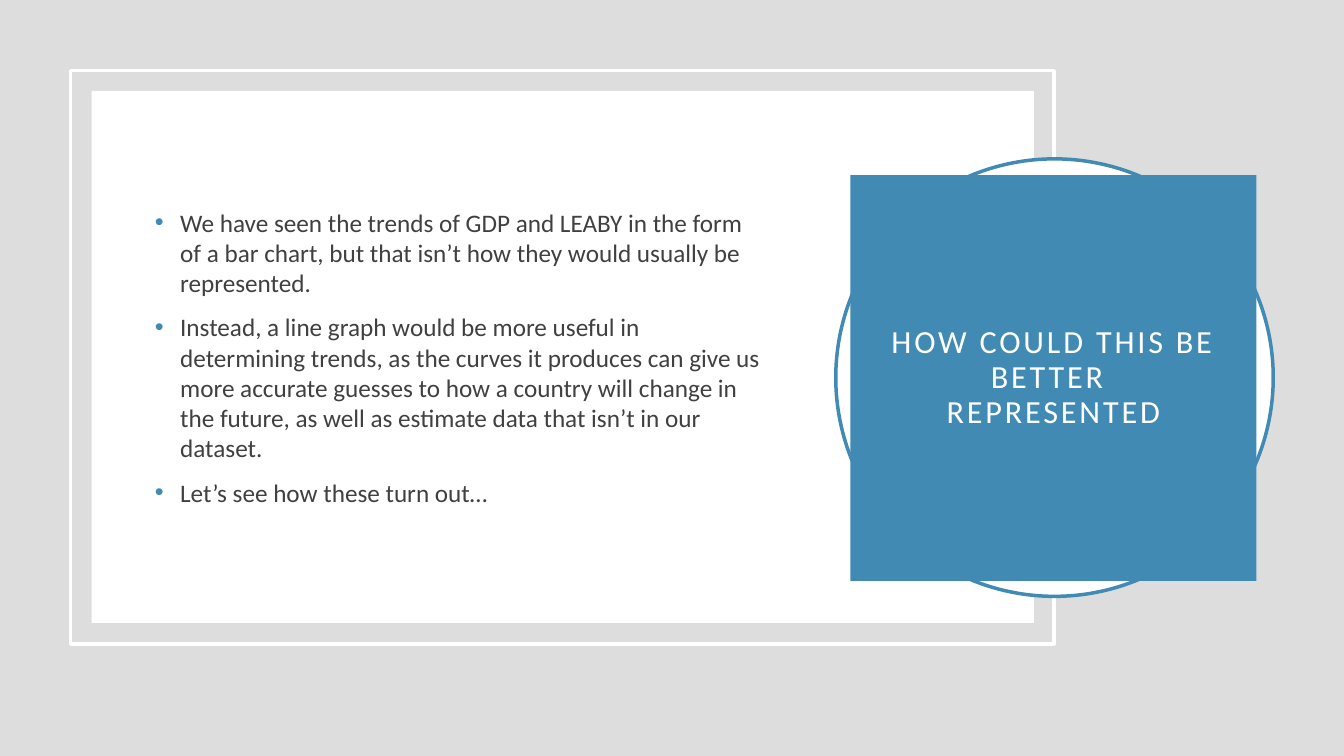
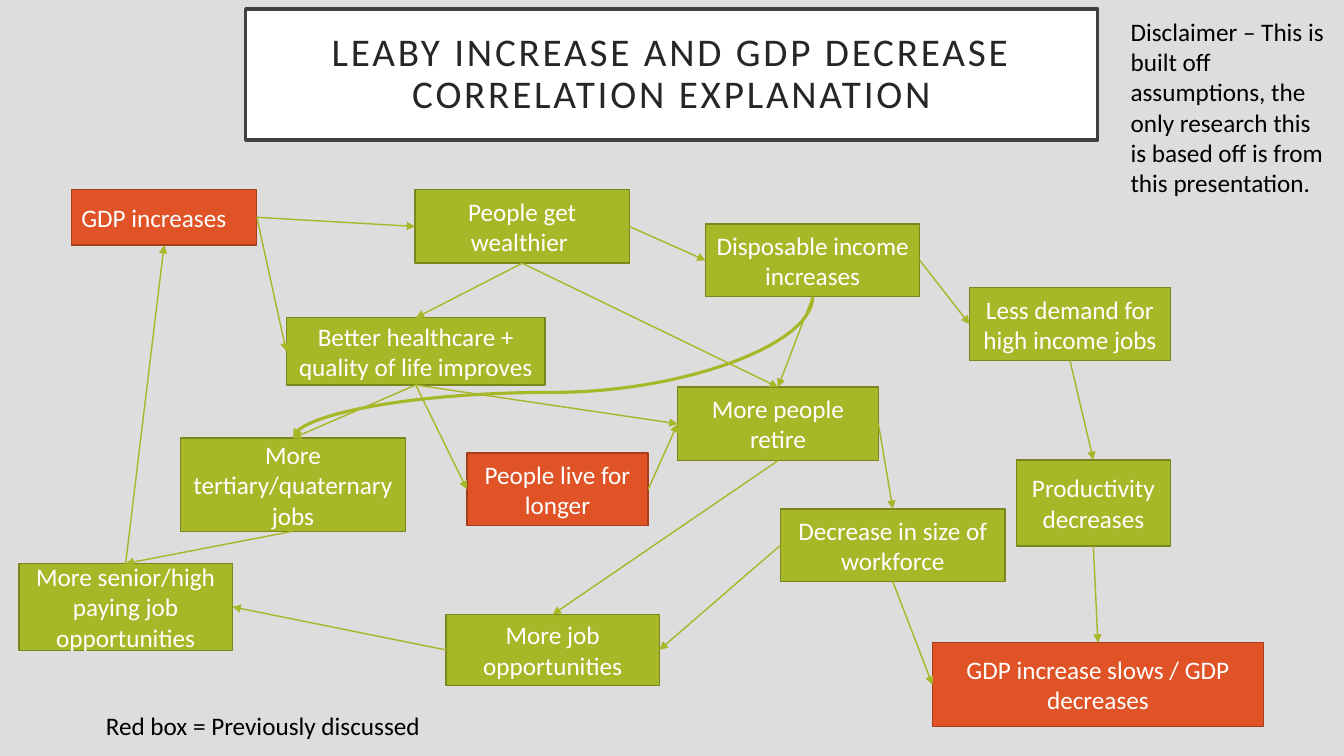
"""Build two slides on life expectancy and GDP trends."""
from dataclasses import dataclass
from lxml.etree import SubElement
from pptx import Presentation
from pptx.dml.color import RGBColor
from pptx.enum.shapes import MSO_CONNECTOR, MSO_SHAPE
from pptx.enum.text import MSO_ANCHOR, MSO_AUTO_SIZE, PP_ALIGN
from pptx.oxml.ns import qn
from pptx.util import Pt


@dataclass(frozen=True)
class Theme:
    """Colours, font, type sizes and line widths."""
    back: str = "DDDDDD"
    white: str = "FFFFFF"
    black: str = "000000"
    ink: str = "262626"
    gray: str = "404040"
    blue: str = "418AB3"
    green: str = "A6B727"
    moss: str = "7B871D"
    red: str = "DF5327"
    rust: str = "A53D1D"
    font: str = "Calibri"
    text: float = 18
    head: float = 28
    side: float = 23
    thin: float = 1
    curve: float = 2.25
    thick: float = 2.5


THEME = Theme()
SIZE = 960, 540

SIDE = "HOW COULD THIS BE BETTER \nREPRESENTED"
POINTS = [
    "We have seen the trends of GDP and LEABY in the form of a bar chart, "
    "but that isn’t how they would usually be represented.",
    "Instead, a line graph would be more useful in determining trends, as the "
    "curves it produces can give us more accurate guesses to how a country will "
    "change in the future, as well as estimate data that isn’t in our dataset.",
    "Let’s see how these turn out…",
]
PANELS = [
    (MSO_SHAPE.RECTANGLE, (50.5, 50.5, 702.5, 409.5), None, THEME.white),
    (MSO_SHAPE.RECTANGLE, (65.5, 65, 673, 380), THEME.white, None),
    (MSO_SHAPE.OVAL, (597, 113.5, 312.5, 312.5), THEME.white, THEME.blue),
]

HEAD = "LEABY INCREASE AND GDP DECREASE CORRELATION EXPLANATION"
BOXES = {
    "gdp": ("GDP increases", (51, 135.5, 132.5, 39.5)),
    "wealth": ("People get wealthier ", (296.5, 135.5, 153, 52.5)),
    "health": ("Better healthcare + quality of life improves",
               (204.5, 227, 185, 48)),
    "live": ("People live for longer", (333.5, 323.5, 129.5, 52)),
    "retire": ("More people retire", (484, 276.5, 143.5, 52.5)),
    "work": ("Decrease in size of workforce", (557.5, 363.5, 160.5, 52)),
    "spend": ("Disposable income increases", (504, 160, 153, 52)),
    "demand": ("Less demand for high income jobs", (692.5, 205.5, 143.5, 52)),
    "output": ("Productivity decreases", (726, 328.5, 110, 61.5)),
    "slow": ("GDP increase slows / GDP decreases", (666, 459, 236.5, 60)),
    "senior": ("More senior/high paying job opportunities",
               (13.5, 402.5, 152.5, 62)),
    "jobs": ("More job opportunities", (318.5, 439, 152.5, 50.5)),
    "skill": ("More tertiary/quaternary jobs", (129, 313, 160.5, 66.5)),
}
KNOWN = {"gdp", "live", "slow"}
TOP, LEFT, BASE, RIGHT = range(4)
LINKS = [
    ("gdp", RIGHT, "wealth", LEFT), ("gdp", RIGHT, "health", LEFT),
    ("wealth", RIGHT, "spend", LEFT), ("wealth", BASE, "health", TOP),
    ("wealth", BASE, "retire", TOP), ("health", BASE, "retire", LEFT),
    ("health", BASE, "live", LEFT), ("live", RIGHT, "retire", LEFT),
    ("retire", RIGHT, "work", TOP), ("spend", RIGHT, "demand", LEFT),
    ("demand", BASE, "output", TOP), ("output", BASE, "slow", TOP),
    ("work", BASE, "slow", LEFT), ("retire", BASE, "jobs", TOP),
    ("work", LEFT, "jobs", RIGHT), ("jobs", LEFT, "senior", RIGHT),
    ("spend", BASE, "retire", TOP), ("health", BASE, "skill", TOP),
    ("skill", BASE, "senior", TOP), ("senior", TOP, "gdp", BASE),
]
BEND = 67600
NOTES = [
    ("Red box = Previously discussed", (68.5, 504, 247, 29)),
    ("Disclaimer – This is built off assumptions, the only research this is "
     "based off is from this presentation.", (800.5, 8, 153, 138.5)),
]


def tint(name):
    """Turn a hex string into a colour."""
    return RGBColor.from_string(name)


def place(shape, box):
    """Set a shape's frame in points."""
    shape.left, shape.top, shape.width, shape.height = map(Pt, box)


def paint(shape, fill, line, width=THEME.thin):
    """Set fill and outline, either of which may be None."""
    if fill:
        shape.fill.solid()
        shape.fill.fore_color.rgb = tint(fill)
    else:
        shape.fill.background()
    if line:
        shape.line.color.rgb = tint(line)
        shape.line.width = Pt(width)
    else:
        shape.line.fill.background()


def panel(slide, kind, box, fill, line, width):
    """Add a flat preset shape."""
    shape = slide.shapes.add_shape(kind, *map(Pt, box))
    shape.shadow.inherit = False
    paint(shape, fill, line, width)
    return shape


def write(shape, texts, color, size=THEME.text, align=PP_ALIGN.LEFT,
          anchor=MSO_ANCHOR.MIDDLE):
    """Fill a shape with paragraphs, run by run."""
    frame = shape.text_frame
    frame.word_wrap = True
    frame.auto_size = MSO_AUTO_SIZE.NONE
    frame.vertical_anchor = anchor
    for num, text in enumerate(texts):
        para = frame.add_paragraph() if num else frame.paragraphs[0]
        para.alignment = align
        for row, part in enumerate(text.split("\n")):
            if row:
                para.add_line_break()
            run = para.add_run()
            run.text = part
            run.font.name = THEME.font
            run.font.size = Pt(size)
            run.font.color.rgb = tint(color)
    return frame


def title(slide, text, box, size, color, fill, line):
    """Format the title placeholder as a spaced, centred panel."""
    shape = slide.shapes.title
    place(shape, box)
    paint(shape, fill, line, THEME.thick)
    frame = write(shape, [text], color, size, PP_ALIGN.CENTER)
    frame.margin_left = frame.margin_right = Pt(14.4)
    frame.margin_top = frame.margin_bottom = Pt(14.4)
    frame.paragraphs[0].line_spacing = 0.9
    for prop in shape.element.iter(qn("a:rPr")):
        prop.set("spc", "200")
    return shape


def bullets(shape, texts):
    """Write a bulleted list with a hanging indent."""
    frame = write(shape, texts, THEME.gray)
    for para in frame.paragraphs:
        para.space_before = Pt(10)
    for prop in shape.element.iter(qn("a:pPr")):
        prop.set("marL", str(Pt(18)))
        prop.set("indent", str(-Pt(18)))
        color = SubElement(prop, qn("a:buClr"))
        SubElement(color, qn("a:srgbClr"), val=THEME.blue)
        SubElement(prop, qn("a:buFont"), typeface="Arial")
        SubElement(prop, qn("a:buChar"), char="•")


def link(slide, kind, start, out, end, into, width):
    """Join two boxes with an arrow."""
    line = slide.shapes.add_connector(kind, 0, 0, 0, 0)
    line.begin_connect(start, out)
    line.end_connect(end, into)
    line.line.color.rgb = tint(THEME.green)
    line.line.width = Pt(width)
    props = line.element.spPr
    SubElement(props.find(qn("a:ln")), qn("a:tailEnd"), type="triangle")
    SubElement(props, qn("a:effectLst"))
    return line


def swoop(slide, start, end):
    """Curve down from the base of one box to the top of another."""
    line = link(slide, MSO_CONNECTOR.CURVE, start, BASE, end, TOP, THEME.curve)
    wide, high = line.width, line.height
    line.left += (wide - high) // 2
    line.top += (high - wide) // 2
    line.width, line.height = high, wide
    line.element.flipH = False
    line.rotation = 90
    geom = line.element.spPr.find(qn("a:prstGeom"))
    guides = geom.find(qn("a:avLst"))
    if guides is None:
        guides = SubElement(geom, qn("a:avLst"))
    SubElement(guides, qn("a:gd"), name="adj1", fmla=f"val {BEND}")


def ideas(deck):
    """Build the slide with the list and the side title."""
    slide = deck.slides.add_slide(deck.slide_layouts[1])
    for kind, box, fill, line in PANELS:
        panel(slide, kind, box, fill, line, THEME.thick)
    name = title(slide, SIDE, (607.5, 125, 290, 290), THEME.side,
                 THEME.white, THEME.blue, None)
    body = slide.placeholders[1]
    place(body, (103.5, 101, 450, 308))
    bullets(body, POINTS)
    for shape in (name, body):
        slide.shapes.element.append(shape.element)


def flow(deck):
    """Build the slide with the cause and effect chart."""
    slide = deck.slides.add_slide(deck.slide_layouts[5])
    title(slide, HEAD, (175.5, 6.5, 608.5, 93.5), THEME.head,
          THEME.ink, THEME.white, THEME.gray)
    nodes = {}
    for key, (text, box) in BOXES.items():
        fill, line = ((THEME.red, THEME.rust) if key in KNOWN
                      else (THEME.green, THEME.moss))
        node = panel(slide, MSO_SHAPE.RECTANGLE, box, fill, line, THEME.thin)
        align = PP_ALIGN.LEFT if key == "gdp" else PP_ALIGN.CENTER
        write(node, [text], THEME.white, align=align)
        nodes[key] = node
    swoop(slide, nodes["spend"], nodes["skill"])
    for start, out, end, into in LINKS:
        link(slide, MSO_CONNECTOR.STRAIGHT, nodes[start], out,
             nodes[end], into, THEME.thin)
    for text, box in NOTES:
        note = slide.shapes.add_textbox(*map(Pt, box))
        write(note, [text], THEME.black, anchor=MSO_ANCHOR.TOP)


def main():
    """Build and save the deck."""
    deck = Presentation()
    deck.slide_width, deck.slide_height = map(Pt, SIZE)
    back = deck.slide_master.background.fill
    back.solid()
    back.fore_color.rgb = tint(THEME.back)
    ideas(deck)
    flow(deck)
    deck.save("out.pptx")


if __name__ == "__main__":
    main()
